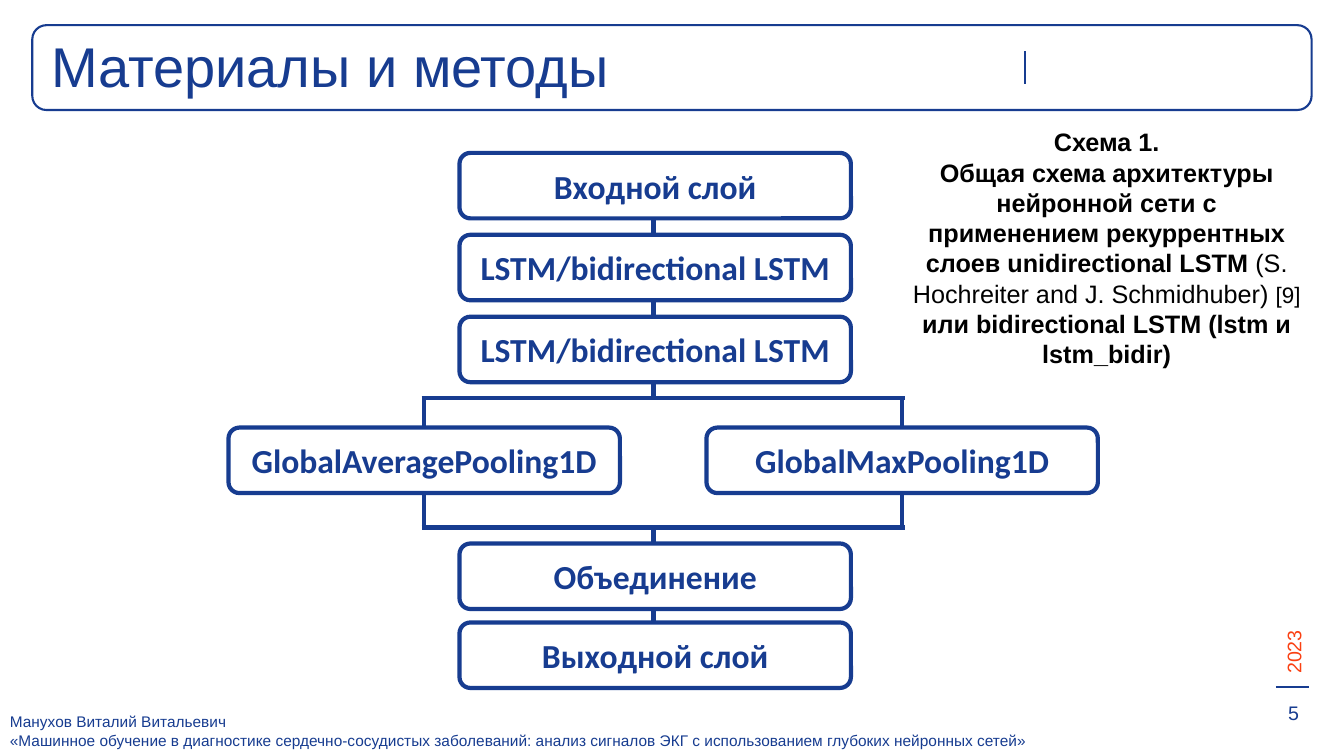
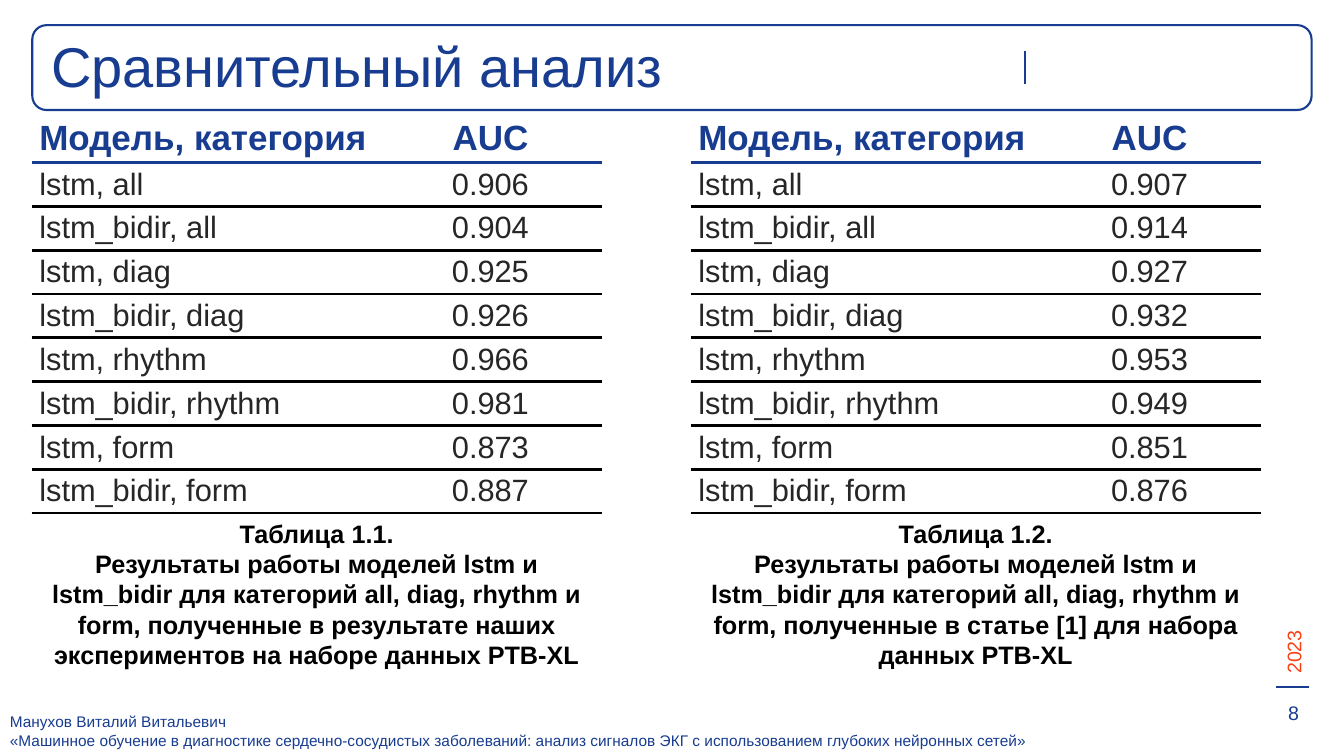
import pptx
import pptx.util
import pptx.dml.color
import pptx.enum.shapes
import pptx.enum.text
import pptx.oxml
import pptx.oxml.ns

COLORS = {"navy": "173C90", "orange": "FA4012", "black": "000000",
          "gray": "262626", "white": "FFFFFF"}
COLUMNS, ROWS = 160, 90  # slide grid; every length below is in its cells
LEFT = pptx.enum.text.PP_ALIGN.LEFT
CENTER = pptx.enum.text.PP_ALIGN.CENTER
MIDDLE = pptx.enum.text.MSO_ANCHOR.MIDDLE

AUTHOR = "Манухов Виталий Витальевич"
TOPIC = ("«Машинное обучение в диагностике сердечно-сосудистых заболеваний: "
         "анализ сигналов ЭКГ с использованием глубоких нейронных сетей»")


class Deck:
    """Holds the shared style and the current slide."""

    def __init__(self):
        self.presentation = pptx.Presentation()
        self.presentation.slide_width = pptx.util.Inches(13.33)
        self.presentation.slide_height = pptx.util.Inches(7.5)
        self.slide = None

    def x(self, columns):
        return round(self.presentation.slide_width * columns / COLUMNS)

    def y(self, rows):
        return round(self.presentation.slide_height * rows / ROWS)

    def box(self, left, top, width, height):
        return self.x(left), self.y(top), self.x(width), self.y(height)

    def color(self, name):
        return pptx.dml.color.RGBColor.from_string(COLORS[name])

    def format_text(self, text_frame, size, color, align=LEFT, bold=False, font="Arial"):
        for paragraph in text_frame.paragraphs:
            paragraph.alignment = align
            for run in paragraph.runs:
                run.font.name = font
                run.font.size = pptx.util.Pt(size)
                run.font.bold = bold
                run.font.color.rgb = self.color(color)

    # Slide with its shared title, frame and footer
    def add_slide(self, title, number):
        layout = self.presentation.slide_layouts.get_by_name("Title Only")
        self.slide = self.presentation.slides.add_slide(layout)
        self.title(title)
        self.rounded(3.84, 3, 152.3, 10.1, weight=1.5)
        self.line(122, 6.1, 122, 10, weight=1.5)
        self.text(["2023"], 146.8, 72.1, 14.5, 4.1, 14, "orange").rotation = 270
        self.line(151.9, 81.8, 155.8, 81.8, weight=1.5)
        self.text([str(number)], 150, 82.9, 8, 4.1, 14, "navy", CENTER)
        self.text([AUTHOR, TOPIC], 0, 84.2, 151.4, 5.6, 11, "navy")

    def title(self, text):
        shape = self.slide.shapes.title
        shape.left, shape.top, shape.width, shape.height = self.box(4.9, 3.2, 86.6, 9.2)
        text_frame = shape.text_frame
        text_frame.text = text
        text_frame.auto_size = pptx.enum.text.MSO_AUTO_SIZE.NONE
        text_frame.vertical_anchor = pptx.enum.text.MSO_ANCHOR.TOP
        self.format_text(text_frame, 40, "navy")

    def text(self, lines, left, top, width, height, size, color, align=LEFT, bold=False):
        shape = self.slide.shapes.add_textbox(*self.box(left, top, width, height))
        shape.text_frame.word_wrap = True
        shape.text_frame.text = "\n".join(lines)
        self.format_text(shape.text_frame, size, color, align, bold)
        return shape

    def caption(self, lines, left, top, width, height):
        return self.text(lines, left, top, width, height, 18, "black", CENTER, True)

    def rounded(self, left, top, width, height, weight, fill=None):
        shape = self.slide.shapes.add_shape(
            pptx.enum.shapes.MSO_SHAPE.ROUNDED_RECTANGLE, *self.box(left, top, width, height))
        shape.shadow.inherit = False
        if fill:
            shape.fill.solid()
            shape.fill.fore_color.rgb = self.color(fill)
        else:
            shape.fill.background()
        shape.line.color.rgb = self.color("navy")
        shape.line.width = pptx.util.Pt(weight)
        return shape

    def layer(self, label, center, top):
        width, height = 46.6, 7.8
        shape = self.rounded(center - width / 2, top, width, height, 3, "white")
        text_frame = shape.text_frame
        text_frame.text = label
        text_frame.word_wrap = True
        text_frame.vertical_anchor = MIDDLE
        self.format_text(text_frame, 24, "navy", CENTER, True, "Calibri")

    def line(self, x1, y1, x2, y2, weight=3):
        connector = self.slide.shapes.add_connector(
            pptx.enum.shapes.MSO_CONNECTOR.STRAIGHT,
            self.x(x1), self.y(y1), self.x(x2), self.y(y2))
        connector.line.color.rgb = self.color("navy")
        connector.line.width = pptx.util.Pt(weight)
        properties = connector._element.spPr
        properties.append(pptx.oxml.parse_xml(
            f'<a:effectLst {pptx.oxml.ns.nsdecls("a")}/>'))

    def border(self, cell, sides):
        """Write cell borders; sides lists (tag, colour, points) in schema order."""
        properties = cell._tc.get_or_add_tcPr()
        for index, (tag, color, points) in enumerate(sides):
            properties.insert(index, pptx.oxml.parse_xml(
                f'<a:{tag} {pptx.oxml.ns.nsdecls("a")} w="{pptx.util.Pt(points)}">'
                f'<a:solidFill><a:srgbClr val="{COLORS[color]}"/></a:solidFill></a:{tag}>'))

    def table(self, rows, left, top):
        widths, head_height, row_height = (41.4, 26.3), 5.8, 5.22
        height = head_height + row_height * (len(rows) - 1)
        table = self.slide.shapes.add_table(
            len(rows), len(widths), *self.box(left, top, sum(widths), height)).table
        table.first_row = table.horz_banding = False
        for column, width in zip(table.columns, widths):
            column.width = self.x(width)
        rules = [("white", 1), ("navy", 3)] + [("black", 2.25)] * (len(rows) - 1)
        for i, values in enumerate(rows):
            table.rows[i].height = self.y(row_height if i else head_height)
            for j, value in enumerate(values):
                cell = table.cell(i, j)
                cell.text_frame.text = value
                cell.vertical_anchor = MIDDLE
                cell.margin_left = cell.margin_right = pptx.util.Inches(0.07)
                cell.margin_top = cell.margin_bottom = pptx.util.Inches(0.03)
                cell.fill.solid()
                cell.fill.fore_color.rgb = self.color("white")
                self.format_text(cell.text_frame, 22 if i else 25, "gray" if i else "navy",
                                 CENTER if j else LEFT, bold=not i)
                self.border(cell, [("lnL", "white", 1), ("lnR", "white", 1),
                                   ("lnT", *rules[i]), ("lnB", *rules[i + 1])])


def architecture_slide(deck):
    deck.add_slide("Материалы и методы", 5)

    # Connectors, drawn behind the layers
    trunk, branches = 77.8, (50.5, 107.4)
    split, merge = 47.4, 62.8
    deck.line(trunk, 22, trunk, split)
    deck.line(trunk, merge, trunk, 78)
    for branch in branches:
        deck.line(branch, split, branch, merge)
    for level in (split, merge):
        deck.line(branches[0] - 0.3, level, branches[1] + 0.3, level)

    # Layers of the network
    center = 78
    for i, label in enumerate(["Входной слой"] + ["LSTM/bidirectional LSTM"] * 2):
        deck.layer(label, center, 18.2 + 9.75 * i)
    for label, branch in zip(("GlobalAveragePooling1D", "GlobalMaxPooling1D"), branches):
        deck.layer(label, branch, 50.9)
    for label, top in (("Объединение", 64.7), ("Выходной слой", 74.1)):
        deck.layer(label, center, top)

    # Caption with a lighter citation inside
    caption = deck.caption(
        ["Схема 1.", "Общая схема архитектуры нейронной сети с применением "
         "рекуррентных слоев unidirectional LSTM "], 107.4, 14.5, 48.7, 30.2)
    paragraph = caption.text_frame.paragraphs[1]
    parts = [("(S. Hochreiter and J. Schmidhuber) ", 18, False), ("[9] ", 16, False),
             ("или bidirectional LSTM (lstm и lstm_bidir)", 18, True)]
    for text, size, bold in parts:
        run = paragraph.add_run()
        run.text = text
        run.font.name = "Arial"
        run.font.size = pptx.util.Pt(size)
        run.font.bold = bold
        run.font.color.rgb = deck.color("black")


def comparison_slide(deck):
    deck.add_slide("Сравнительный анализ", 8)
    models = [f"{model}, {category}" for category in ("all", "diag", "rhythm", "form")
              for model in ("lstm", "lstm_bidir")]
    results = [
        (3.84, "Таблица 1.1.", "в результате наших экспериментов на наборе данных PTB-XL",
         ("0.906", "0.904", "0.925", "0.926", "0.966", "0.981", "0.873", "0.887")),
        (82.3, "Таблица 1.2.", "в статье [1] для набора данных PTB-XL",
         ("0.907", "0.914", "0.927", "0.932", "0.953", "0.949", "0.851", "0.876")),
    ]
    for left, name, origin, scores in results:
        deck.table([("Модель, категория", "AUC"), *zip(models, scores)], left, 13.56)
        deck.caption([name, "Результаты работы моделей lstm и lstm_bidir для категорий "
                      f"all, diag, rhythm и form, полученные {origin}"],
                     left, 61.1, 67.7, 19.4)


def main():
    deck = Deck()
    architecture_slide(deck)
    comparison_slide(deck)
    deck.presentation.save("out.pptx")


if __name__ == "__main__":
    main()
